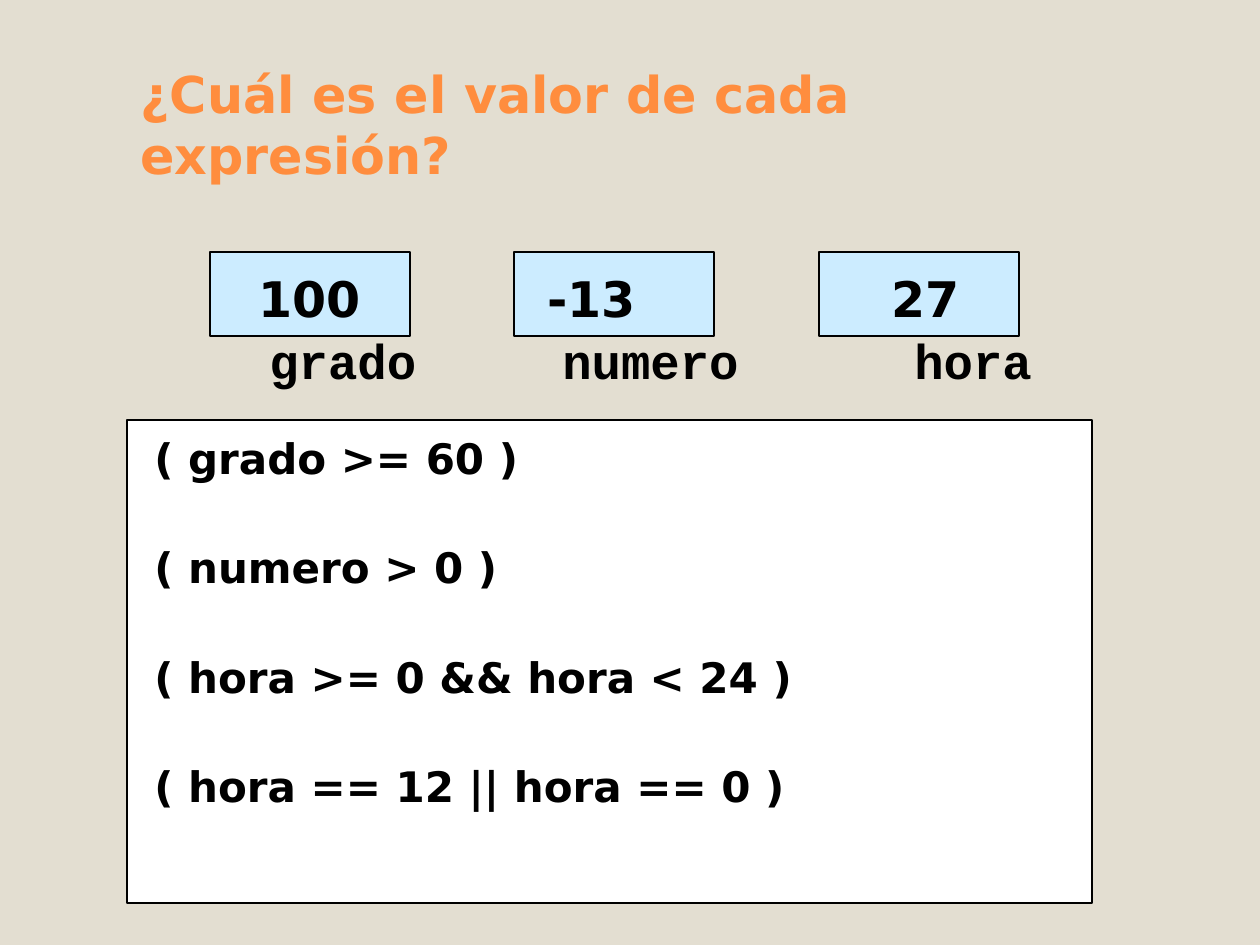
from dataclasses import dataclass

from pptx import Presentation
from pptx.dml.color import RGBColor
from pptx.enum.shapes import MSO_SHAPE
from pptx.enum.text import MSO_ANCHOR
from pptx.util import Emu, Pt


@dataclass(frozen=True)
class Theme:
    back: str = "E3DED1"
    accent: str = "FF8D3E"
    ink: str = "000000"
    cell: str = "CCECFF"
    panel: str = "FFFFFF"
    sans: str = "DejaVu Sans"
    mono: str = "Courier New"
    title: int = 29
    value: int = 28
    code: int = 24


def px(n):
    return Emu(round(n * 914400 / 126))


def rgb(code):
    return RGBColor.from_string(code)


def write(para, text, *, font, size, color, before=0):
    """Fill a paragraph with bold text; before is in points."""
    para.space_before = Pt(before)
    run = para.add_run()
    run.text = text
    face = run.font
    face.name, face.size, face.bold = font, Pt(size), True
    face.color.rgb = rgb(color)


class Deck:
    def __init__(self, theme):
        self.theme = theme
        self.file = Presentation()
        self.file.slide_width, self.file.slide_height = px(1260), px(945)
        self.slide = self.file.slides.add_slide(self.file.slide_layouts[6])
        fill = self.slide.background.fill
        fill.solid()
        fill.fore_color.rgb = rgb(theme.back)

    def rect(self, box, color):
        shape = self.slide.shapes.add_shape(MSO_SHAPE.RECTANGLE, *map(px, box))
        shape.shadow.inherit = False
        shape.fill.solid()
        shape.fill.fore_color.rgb = rgb(color)
        shape.line.color.rgb = rgb(self.theme.ink)
        shape.line.width = Pt(1)

    def text(self, box, lines, anchor=MSO_ANCHOR.TOP, gap=0, **style):
        """Add a text box, one paragraph a line, gap points apart."""
        frame = self.slide.shapes.add_textbox(*map(px, box)).text_frame
        frame.word_wrap = True
        frame.vertical_anchor = anchor
        for i, line in enumerate(lines):
            para = frame.add_paragraph() if i else frame.paragraphs[0]
            write(para, line, before=gap if i else 0, **style)


def main():
    theme = Theme()
    deck = Deck(theme)

    deck.text((128, 60, 1026, 131), ["¿Cuál es el valor de cada expresión?"],
              anchor=MSO_ANCHOR.BOTTOM,
              font=theme.sans, size=theme.title, color=theme.accent)

    # value, its left edge, name, its left edge
    cells = (("100", 246, "grado", 257),
             ("-13", 535, "numero", 550),
             ("27", 879, "hora", 902))
    for i, (value, vx, name, nx) in enumerate(cells):
        deck.rect((210 + i * 609 // 2, 252, 200, 84), theme.cell)
        deck.text((vx, 262, 150, 70), [value],
                  font=theme.sans, size=theme.value, color=theme.ink)
        deck.text((nx, 324, 220, 68), [name],
                  font=theme.mono, size=theme.value, color=theme.ink)

    deck.rect((127, 420, 965, 483), theme.panel)
    tests = ("( grado >= 60 )", "( numero > 0 )",
             "( hora >= 0 && hora < 24 )", "( hora == 12 || hora == 0 )")
    deck.text((142, 426, 940, 435), tests, gap=33.75,
              font=theme.sans, size=theme.code, color=theme.ink)

    deck.file.save("out.pptx")


if __name__ == "__main__":
    main()
